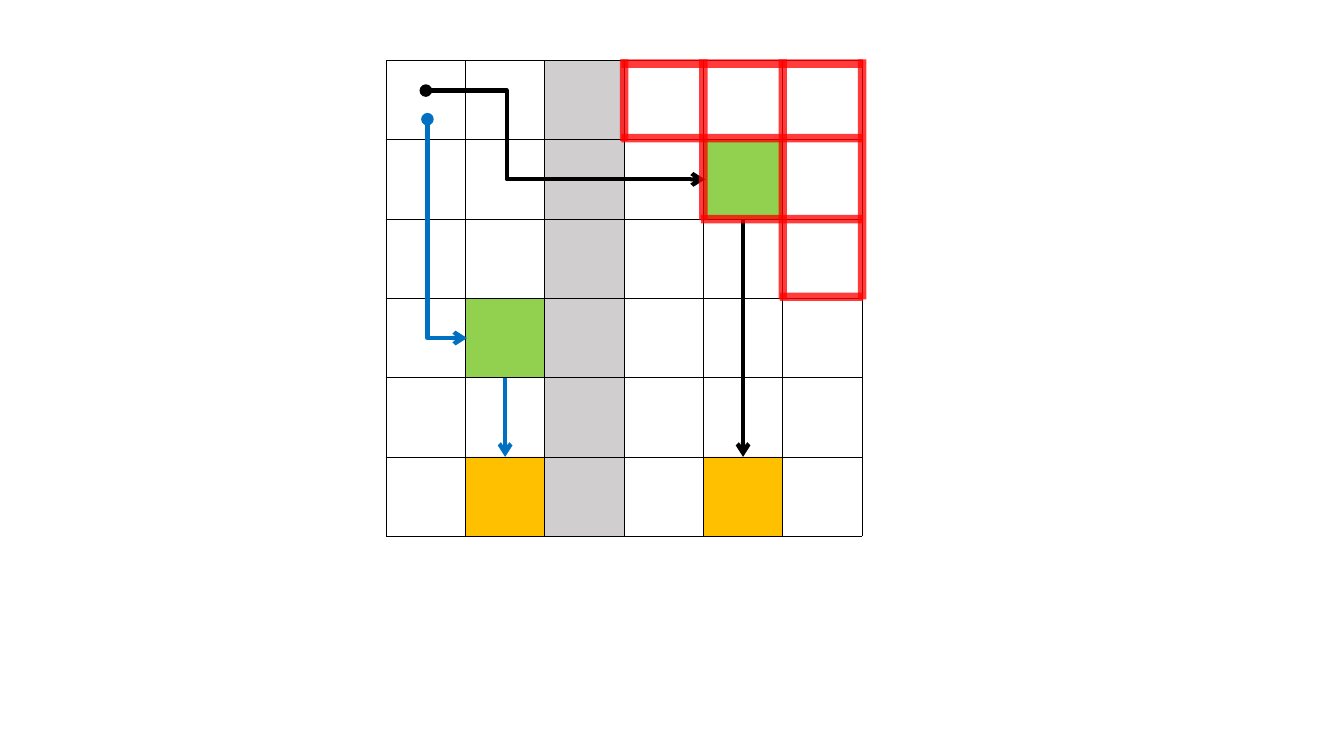
from dataclasses import dataclass

from lxml.etree import SubElement
from pptx import Presentation
from pptx.dml.color import RGBColor
from pptx.enum.shapes import MSO_CONNECTOR, MSO_SHAPE
from pptx.oxml.ns import qn
from pptx.util import Inches, Pt

COLORS = {
    "grid": "000000", "wall": "D0CECE", "waypoint": "92D050", "goal": "FFC000",
    "long_path": "000000", "short_path": "0070C0", "region": "FF0000",
}
CELLS = 6


@dataclass
class Board:
    left: float
    top: float
    width: float
    height: float

    def point(self, column, row):
        return (Inches(self.left + column * self.width / CELLS),
                Inches(self.top + row * self.height / CELLS))


def add_block(slide, board, column, row, color, rows=1):
    left, top = board.point(column, row)
    right, bottom = board.point(column + 1, row + rows)
    block = slide.shapes.add_shape(MSO_SHAPE.RECTANGLE, left, top, right - left, bottom - top)
    block.shadow.inherit = False
    block.fill.solid()
    block.fill.fore_color.rgb = RGBColor.from_string(COLORS[color])
    block.line.fill.background()
    return block


def add_line(slide, board, start, end, color, weight, kind=MSO_CONNECTOR.STRAIGHT):
    """Join two points given in columns and rows of the board."""
    line = slide.shapes.add_connector(kind, *board.point(*start), *board.point(*end))
    line.line.color.rgb = RGBColor.from_string(COLORS[color])
    line.line.width = Pt(weight)
    SubElement(line._element.spPr, qn("a:effectLst"))
    return line


def add_ends(line, head=None):
    outline = line.line._get_or_add_ln()
    if head:
        SubElement(outline, qn("a:headEnd"), type=head)
    SubElement(outline, qn("a:tailEnd"), type="arrow")


def turn_down_then_right(connector):
    """Make an elbow with one corner that leaves its start downwards."""
    center_x = connector.left + connector.width // 2
    center_y = connector.top + connector.height // 2
    width, height = connector.height, connector.width
    connector.left, connector.top = center_x - width // 2, center_y - height // 2
    connector.width, connector.height = width, height
    properties = connector._element.spPr
    transform = properties.find(qn("a:xfrm"))
    transform.set("rot", str(270 * 60000))
    transform.set("flipH", "1")
    properties.find(qn("a:prstGeom")).set("prst", "bentConnector2")


def set_bend(connector, share):
    geometry = connector._element.spPr.find(qn("a:prstGeom"))
    guides = geometry.find(qn("a:avLst"))
    if guides is None:
        guides = SubElement(geometry, qn("a:avLst"))
    SubElement(guides, qn("a:gd"), name="adj1", fmla=f"val {round(share * 100000)}")


def draw_grid(slide, board):
    for index in range(CELLS + 1):
        add_line(slide, board, (index, 0), (index, CELLS), "grid", 0.5)
        add_line(slide, board, (0, index), (CELLS, index), "grid", 0.5)


def draw_paths(slide, board, waypoints, goals):
    long_path = add_line(slide, board, (0.5, 0.38), (4.02, 1.5), "long_path", 3,
                         MSO_CONNECTOR.ELBOW)
    set_bend(long_path, 0.29)
    short_path = add_line(slide, board, (0.52, 0.74), (1.02, 3.5), "short_path", 3,
                          MSO_CONNECTOR.ELBOW)
    turn_down_then_right(short_path)
    for path in (long_path, short_path):
        add_ends(path, head="oval")

    for color, waypoint, goal in zip(("long_path", "short_path"), waypoints, goals):
        descent = add_line(slide, board, (0, 0), (1, 1), color, 3)
        descent.begin_connect(waypoint, 2)
        descent.end_connect(goal, 0)
        add_ends(descent)


def draw_region(slide, board):
    """Outline the top right cells with translucent strokes."""
    inset = 0.04
    uprights = [(column, inset, row - inset) for column, row in ((6, 3), (5, 3), (4, 2), (3, 1))]
    levels = [(inset, 3), (1 - inset / 2, 3), (2, 4), (3 - inset / 2, 5)]
    strokes = [((column, top), (column, bottom)) for column, top, bottom in uprights]
    strokes += [((CELLS - inset, row), (column + inset / 2, row)) for row, column in levels]
    for start, end in strokes:
        stroke = add_line(slide, board, start, end, "region", 6)
        outline = stroke.line._get_or_add_ln()
        outline.set("cap", "sq")
        SubElement(outline.find(".//" + qn("a:srgbClr")), qn("a:alpha"), val="77000")


def draw_path_board(slide, board):
    add_block(slide, board, 2, 0, "wall", rows=CELLS)
    waypoints = [add_block(slide, board, column, row, "waypoint") for column, row in ((4, 1), (1, 3))]
    goals = [add_block(slide, board, column, 5, "goal") for column in (4, 1)]
    draw_grid(slide, board)
    draw_paths(slide, board, waypoints, goals)
    draw_region(slide, board)


def main():
    presentation = Presentation()
    presentation.slide_width = Inches(13.33)
    presentation.slide_height = Inches(7.5)
    slide = presentation.slides.add_slide(presentation.slide_layouts[6])
    draw_path_board(slide, Board(left=3.83, top=0.6, width=4.72, height=4.72))
    presentation.save("out.pptx")


if __name__ == "__main__":
    main()
